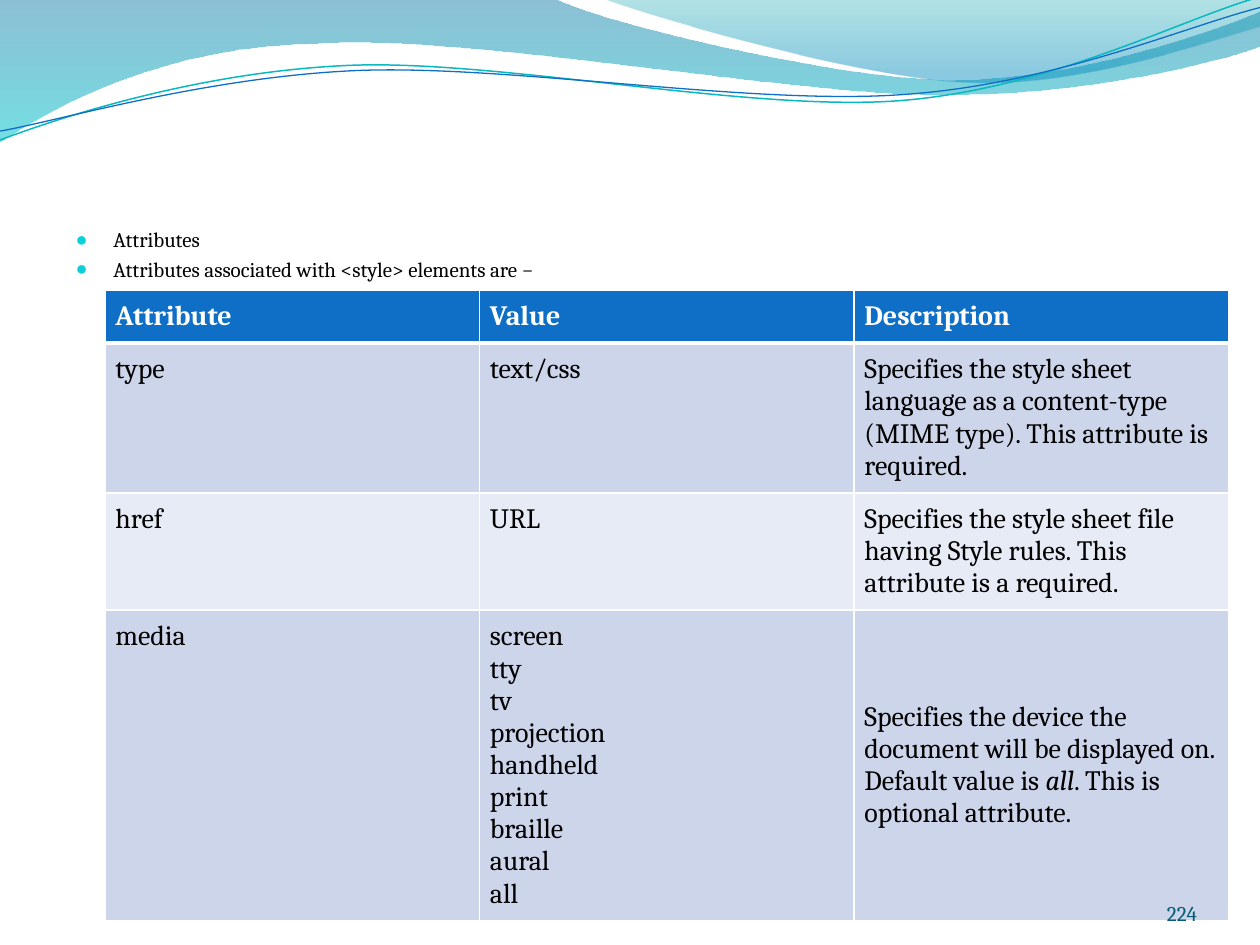
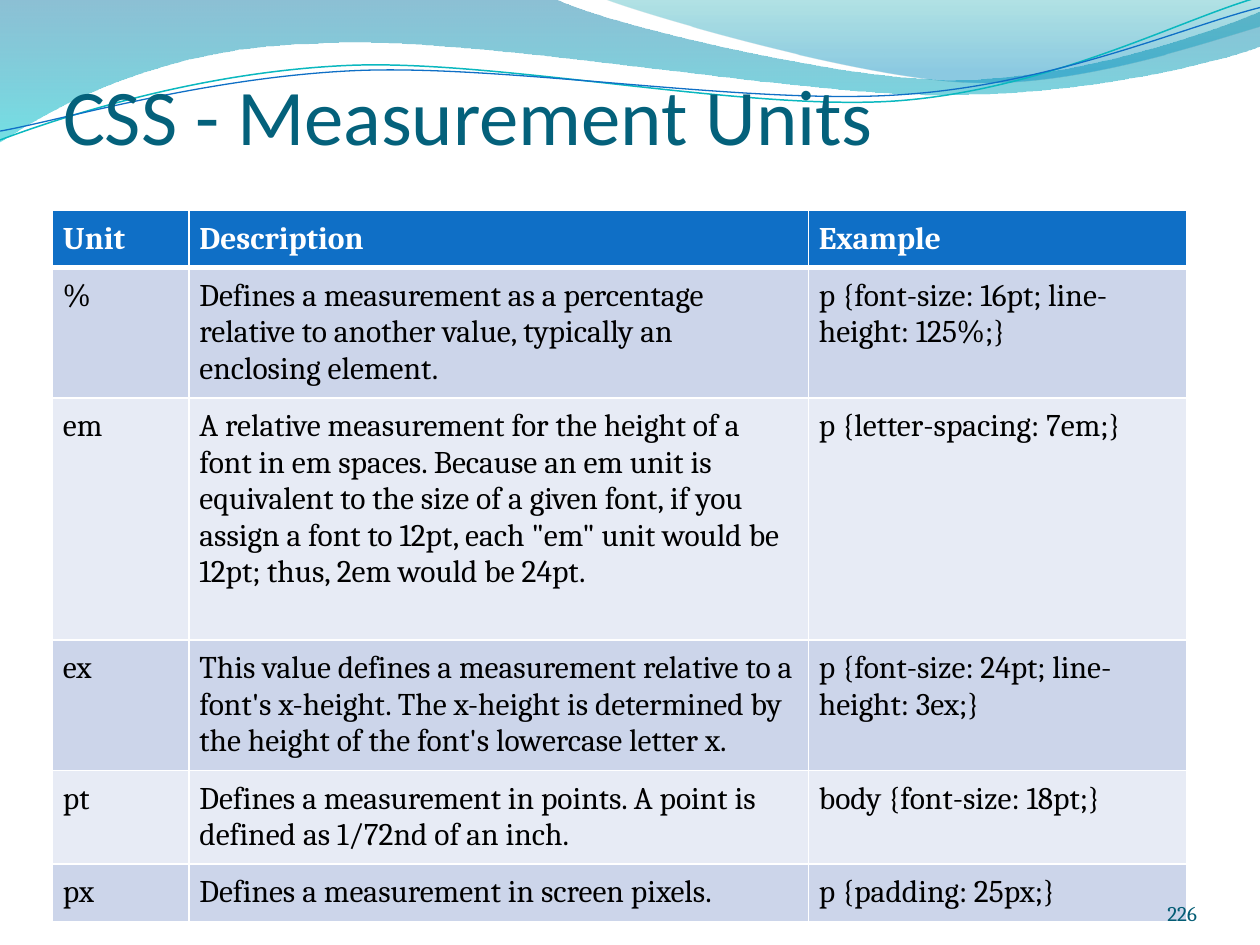
from dataclasses import dataclass

from pptx import Presentation
from pptx.dml.color import RGBColor
from pptx.enum import text as t
from pptx.oxml import parse_xml
from pptx.oxml.ns import nsdecls, qn
from pptx.util import Pt


@dataclass(frozen=True)
class Theme:
    head: str = "Calibri"
    body: str = "Cambria"
    title: str = "04617B"
    page: str = "045D75"
    ink: str = "000000"
    white: str = "FFFFFF"
    blue: str = "0F6FC6"
    teal: str = "0AB8BF"
    dot: str = "0BD0D9"
    bands: tuple = ("CCD5EA", "E7EBF5")
    big: int = 45
    small: int = 12


THEME = Theme()

# Text between asterisks is italic; a list in a cell holds one paragraph per item.
BULLETS = ["Attributes", "Attributes associated with <style> elements are −"]
ATTRS = dict(
    left=60, top=165.75, cols=[214, 214, 214], size=16,
    heights=[30, 85.5, 67, 176.75], middle=[(3, 2)],
    rows=[
        ("Attribute", "Value", "Description"),
        ("type", "text/css",
         "Specifies the style sheet language as a content-type (MIME type). "
         "This attribute is required."),
        ("href", "URL",
         "Specifies the style sheet file having Style rules. "
         "This attribute is a required."),
        ("media",
         ["screen", "tty", "tv", "projection", "handheld", "print",
          "braille", "aural", "all"],
         "Specifies the device the document will be displayed on. "
         "Default value is *all*. This is optional attribute."),
    ])

UNITS_TITLE = "CSS - Measurement Units"
UNITS = dict(
    left=30, top=120.25, cols=[78, 354, 216], size=18,
    heights=[32, 74.5, 138.25, 74.5, 53.5, 32], middle=[],
    rows=[
        ("Unit", "Description", "Example"),
        ("%",
         "Defines a measurement as a percentage relative to another value, "
         "typically an enclosing element.",
         "p {font-size: 16pt; line-height: 125%;}"),
        ("em",
         "A relative measurement for the height of a font in em spaces. "
         "Because an em unit is equivalent to the size of a given font, if you "
         "assign a font to 12pt, each \"em\" unit would be 12pt; "
         "thus, 2em would be 24pt.",
         "p {letter-spacing: 7em;}"),
        ("ex",
         "This value defines a measurement relative to a font's x-height. "
         "The x-height is determined by the height of the font's lowercase "
         "letter x.",
         "p {font-size: 24pt; line-height: 3ex;}"),
        ("pt",
         "Defines a measurement in points. A point is defined as 1/72nd of an "
         "inch.",
         "body {font-size: 18pt;}"),
        ("px", "Defines a measurement in screen pixels.", "p {padding: 25px;}"),
    ])

# Outlines in points: the first pair starts, a pair is a line, six numbers a curve.
# Gradient stops: position %, colour, opacity %.
WAVES = [
    dict(steps=[(0, 0), (317, -1), (342.7, 12.2, 478, 45.4, 546, 45.4),
                (614, 45.4, 690, 18.7, 720, 6.5), (721, 26),
                (708, 31.7, 626.4, 54.7, 537, 54),
                (448, 54, 275, 20.2, 185, 24.5),
                (93, 26, 33, 59.8, -0.7, 81.4)],
         stops=[(0, "0074A1", 45), (100, "00C6CF", 55)]),
    dict(steps=[(345, -0.7), (366.5, 8, 491, 44.6, 553.7, 46.8),
                (616.3, 49.7, 692, 23, 720, 15), (720, 0)],
         stops=[(0, "00A1A9", 30), (80, "008BBF", 45)]),
    dict(steps=[(0, 80), (34.6, 67, 113.8, 41, 199.4, 37.4),
                (284.4, 33.8, 427, 64, 513.4, 57.6),
                (599.8, 51, 675.4, 10.8, 718.6, -1.4)],
         line=THEME.teal, width=0.85),
    dict(steps=[(0, 74.9), (33.8, 69, 118, 44, 203.8, 40.3),
                (290, 36.7, 430, 60.5, 516.2, 54),
                (602, 48.2, 677.5, 15, 720, 4.3)],
         line=THEME.blue, width=0.75),
]


def rgb(code):
    return RGBColor.from_string(code)


def write(frame, items, size, color=THEME.ink, font=THEME.body, bold=False,
          align=t.PP_ALIGN.LEFT, before=0):
    """Fill a text frame with paragraphs; *marked* parts become italic."""
    items = [items] if isinstance(items, str) else items
    frame.word_wrap = True
    for i, item in enumerate(items):
        para = frame.paragraphs[0] if i == 0 else frame.add_paragraph()
        para.alignment = align
        para.space_before = Pt(before)
        for j, part in enumerate(item.split("*")):
            run = para.add_run()
            run.text = part
            face = run.font
            face.name, face.size, face.bold = font, Pt(size), bold
            face.italic = j % 2 == 1
            face.color.rgb = rgb(color)


def place(shape, left, top, width, height):
    shape.left, shape.top = Pt(left), Pt(top)
    shape.width, shape.height = Pt(width), Pt(height)


def inset(box, gap):
    box.margin_left = box.margin_right = Pt(gap)
    box.margin_top = box.margin_bottom = Pt(gap)


def trace(slide, steps, close):
    """Build a freeform through all points, then bend its curve steps."""
    pts = [(Pt(step[i]), Pt(step[i + 1]))
           for step in steps for i in range(0, len(step), 2)]
    pen = slide.shapes.build_freeform(*pts[0])
    pen.add_line_segments(pts[1:], close=close)
    shape = pen.convert_to_shape()
    lines = iter(list(shape.element.iter(qn("a:lnTo"))))
    for step in steps[1:]:
        first = next(lines)
        if len(step) == 6:
            curve = parse_xml(f'<a:cubicBezTo {nsdecls("a")}/>')
            first.addprevious(curve)
            for line in (first, next(lines), next(lines)):
                curve.append(line[0])
                line.getparent().remove(line)
    return shape


def shade(shape, stops):
    """Give a shape a top-down gradient with see-through stops."""
    marks = "".join(
        f'<a:gs pos="{pos * 1000}"><a:srgbClr val="{code}">'
        f'<a:alpha val="{alpha * 1000}"/></a:srgbClr></a:gs>'
        for pos, code, alpha in stops)
    props = shape.element.spPr
    props.replace(props.find(qn("a:noFill")), parse_xml(
        f'<a:gradFill {nsdecls("a")} rotWithShape="1"><a:gsLst>{marks}</a:gsLst>'
        '<a:lin ang="5400000" scaled="0"/></a:gradFill>'))


def add_waves(slide, master):
    """Build the waves on a slide, then move them to the master."""
    for i, wave in enumerate(WAVES):
        solid = "stops" in wave
        shape = trace(slide, wave["steps"], solid)
        shape.shadow.inherit = False
        shape.fill.background()
        if solid:
            shape.line.fill.background()
            shade(shape, wave["stops"])
        else:
            shape.line.color.rgb = rgb(wave["line"])
            shape.line.width = Pt(wave["width"])
        shape.element.nvSpPr.cNvPr.set("id", str(50 + i))
        master.shapes.element.append(shape.element)


def add_edges(cell, **widths):
    """Draw white borders; the line elements go ahead of the fill."""
    props = cell._tc.get_or_add_tcPr()
    for i, side in enumerate("LRTB"):
        props.insert(i, parse_xml(
            f'<a:ln{side} {nsdecls("a")} w="{Pt(widths.get(side, 1))}"><a:solidFill>'
            f'<a:srgbClr val="{THEME.white}"/></a:solidFill></a:ln{side}>'))


def add_grid(slide, data):
    rows, cols, heights = data["rows"], data["cols"], data["heights"]
    grid = slide.shapes.add_table(
        len(rows), len(cols), Pt(data["left"]), Pt(data["top"]),
        Pt(sum(cols)), Pt(sum(heights))).table
    for col, width in zip(grid.columns, cols):
        col.width = Pt(width)
    for r, row in enumerate(rows):
        grid.rows[r].height = Pt(heights[r])
        head = r == 0
        for c, words in enumerate(row):
            cell = grid.cell(r, c)
            inset(cell, 6)
            if (r, c) in data["middle"]:
                cell.vertical_anchor = t.MSO_ANCHOR.MIDDLE
            cell.fill.solid()
            cell.fill.fore_color.rgb = rgb(
                THEME.blue if head else THEME.bands[(r - 1) % 2])
            add_edges(cell, T=3 if r == 1 else 1, B=3 if head else 1)
            write(cell.text_frame, words, data["size"], bold=head,
                  color=THEME.white if head else THEME.ink,
                  align=t.PP_ALIGN.JUSTIFY if isinstance(words, list)
                  else t.PP_ALIGN.LEFT)


def add_page(slide, number):
    frame = slide.shapes.add_textbox(Pt(624), Pt(500.25), Pt(60), Pt(29)).text_frame
    inset(frame, 0)
    frame.vertical_anchor = t.MSO_ANCHOR.BOTTOM
    write(frame, str(number), THEME.small, color=THEME.page, align=t.PP_ALIGN.RIGHT)


def set_title(slide, words):
    place(slide.shapes.title, 36, 38.25, 648, 55)
    frame = slide.shapes.title.text_frame
    inset(frame, 0)
    frame.auto_size = t.MSO_AUTO_SIZE.NONE
    frame.vertical_anchor = t.MSO_ANCHOR.TOP
    write(frame, words, THEME.big, color=THEME.title, font=THEME.head)


def set_list(slide, items):
    body = slide.placeholders[1]
    place(body, 36, 126, 648, 372)
    frame = body.text_frame
    frame.auto_size = t.MSO_AUTO_SIZE.NONE
    write(frame, items, THEME.small, before=2.4)
    for para in frame.paragraphs:
        props = para._p.get_or_add_pPr()
        props.set("marL", str(Pt(21.6)))
        props.set("indent", str(-Pt(21.6)))
        for mark in (f'buClr {nsdecls("a")}><a:srgbClr val="{THEME.dot}"/></a:buClr',
                     f'buSzPct {nsdecls("a")} val="95000"/',
                     f'buChar {nsdecls("a")} char="●"/'):
            props.append(parse_xml(f"<a:{mark}>"))


def main():
    deck = Presentation()
    deck.slide_width, deck.slide_height = Pt(720), Pt(540)

    attrs = deck.slides.add_slide(deck.slide_layouts[1])
    add_waves(attrs, deck.slide_master)
    empty = attrs.shapes.title.element
    empty.getparent().remove(empty)
    set_list(attrs, BULLETS)
    add_grid(attrs, ATTRS)
    add_page(attrs, 224)

    units = deck.slides.add_slide(deck.slide_layouts[5])
    set_title(units, UNITS_TITLE)
    add_grid(units, UNITS)
    add_page(units, 226)

    deck.save("out.pptx")


if __name__ == "__main__":
    main()
